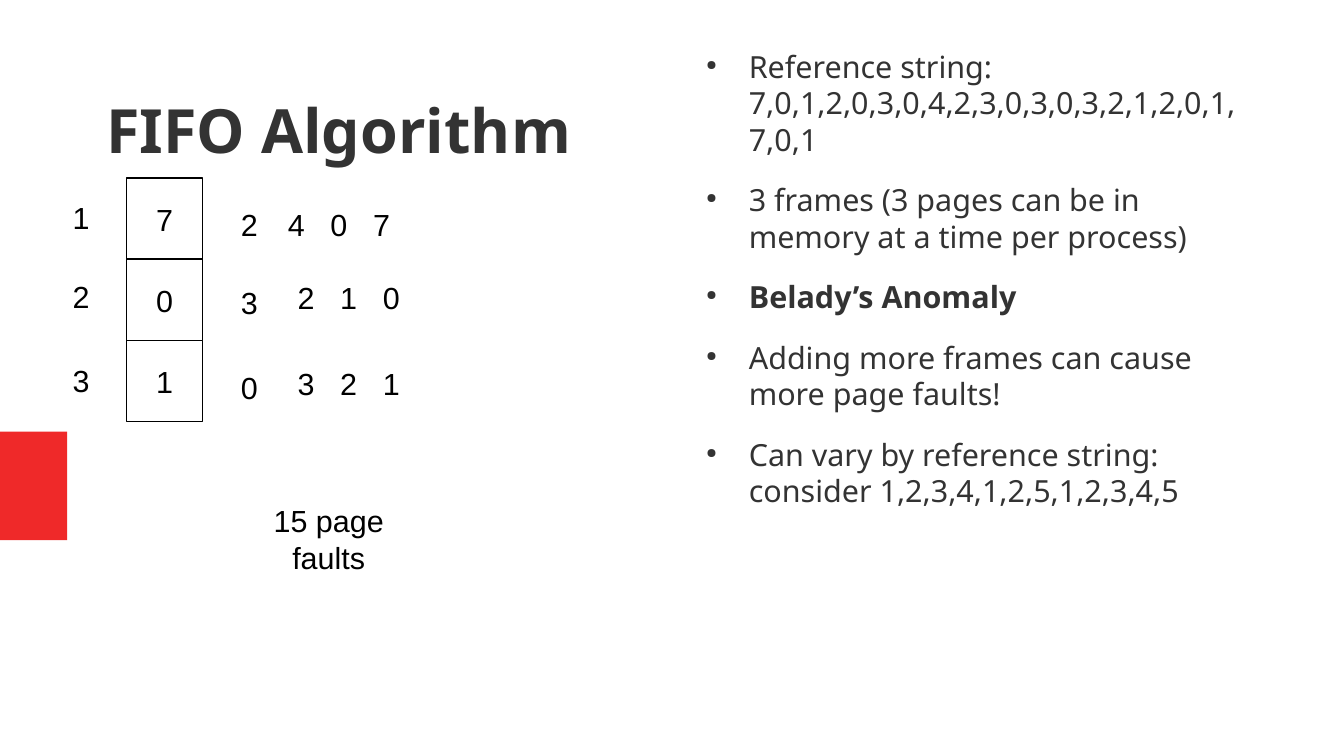
from dataclasses import dataclass

from lxml.etree import SubElement
from pptx import Presentation
from pptx.dml.color import RGBColor
from pptx.enum.shapes import MSO_SHAPE
from pptx.enum.text import MSO_ANCHOR as ANCHOR, MSO_AUTO_SIZE as AUTO_SIZE, PP_ALIGN as ALIGN
from pptx.oxml.ns import qn
from pptx.util import Inches, Pt

COLORS = {"accent": "EF2929", "text": "333333", "ink": "000000", "paper": "FFFFFF"}
CELL_LEFT, CELL_W, CELL_H = 1.04, 0.62, 0.67
FIRST_CELL_TOP, LAST_CELL_TOP = 1.46, 2.79
DIGIT_W, LINE_H = 0.43, 0.44
PAGE_PITCH = 0.35


@dataclass
class Frame:
    """One memory frame: its first page and the pages that replace it."""
    number: str
    first_page: str
    next_page: str
    later_pages: tuple[str, ...]
    label_top: float
    next_top: float
    later_left: float
    later_top: float


@dataclass
class Bullet:
    text: str
    bold: bool = False


FRAMES = [
    Frame("1", "7", "2", ("4", "0", "7"), 1.56, 1.62, 2.22, 1.62),
    Frame("2", "0", "3", ("2", "1", "0"), 2.21, 2.26, 2.30, 2.22),
    Frame("3", "1", "0", ("3", "2", "1"), 2.90, 2.96, 2.30, 2.92),
]
CELL_PITCH = (LAST_CELL_TOP - FIRST_CELL_TOP) / (len(FRAMES) - 1)
BULLETS = [
    Bullet("Reference string: 7,0,1,2,0,3,0,4,2,3,0,3,0,3,2,1,2,0,1,7,0,1"),
    Bullet("3 frames (3 pages can be in memory at a time per process)"),
    Bullet("Belady’s Anomaly", bold=True),
    Bullet("Adding more frames can cause more page faults!"),
    Bullet("Can vary by reference string: consider 1,2,3,4,1,2,5,1,2,3,4,5"),
]


def rgb(name: str) -> RGBColor:
    return RGBColor.from_string(COLORS[name])


def set_frame(tf, *, inset_x: float = 0.14, inset_y: float = 0.07,
              anchor=ANCHOR.MIDDLE, wrap: bool = False) -> None:
    tf.auto_size = AUTO_SIZE.NONE
    tf.word_wrap = wrap
    tf.vertical_anchor = anchor
    tf.margin_left = tf.margin_right = Inches(inset_x)
    tf.margin_top = tf.margin_bottom = Inches(inset_y)


def write(p, text: str, *, size: float = 18, font: str = "Arial", color: str = "ink",
          bold: bool = False, align=ALIGN.CENTER) -> None:
    p.alignment = align
    r = p.add_run()
    r.text = text
    r.font.size = Pt(size)
    r.font.name = font
    r.font.bold = bold
    r.font.color.rgb = rgb(color)


def add_rect(slide, left: float, top: float, width: float, height: float, fill: str):
    sp = slide.shapes.add_shape(MSO_SHAPE.RECTANGLE, Inches(left), Inches(top),
                                Inches(width), Inches(height))
    sp.shadow.inherit = False
    sp.fill.solid()
    sp.fill.fore_color.rgb = rgb(fill)
    sp.line.fill.background()
    return sp


def add_box(slide, left: float, top: float, width: float, height: float = LINE_H, **frame):
    """Add a text box and return its text frame."""
    tf = slide.shapes.add_textbox(Inches(left), Inches(top),
                                  Inches(width), Inches(height)).text_frame
    set_frame(tf, **frame)
    return tf


def add_title(slide, text: str) -> None:
    sp = slide.shapes.title
    sp.left, sp.top, sp.width, sp.height = map(Inches, (0.87, 0.47, 9.37, 1.18))
    set_frame(sp.text_frame, inset_x=0, inset_y=0, wrap=True)
    write(sp.text_frame.paragraphs[0], text, size=36, font="Noto Sans", color="text",
          bold=True, align=ALIGN.LEFT)


def set_bullet(p) -> None:
    pPr = p._p.get_or_add_pPr()
    pPr.set("marL", str(Inches(0.47)))
    pPr.set("indent", str(Inches(-0.35)))
    SubElement(SubElement(pPr, qn("a:buClr")), qn("a:srgbClr"), val=COLORS["text"])
    SubElement(pPr, qn("a:buSzPct"), val="45000")
    SubElement(pPr, qn("a:buFont"), typeface="OpenSymbol")
    SubElement(pPr, qn("a:buChar"), char="●")


def set_tabs(p, count: int) -> None:
    tabs = SubElement(p._p.get_or_add_pPr(), qn("a:tabLst"))
    for i in range(1, count + 1):
        SubElement(tabs, qn("a:tab"), pos=str(Inches(PAGE_PITCH * i)), algn="l")


def add_bullets(slide, bullets: list[Bullet]) -> None:
    tf = add_box(slide, 5.67, 0.39, 4.57, 5.59, inset_x=0, inset_y=0,
                 anchor=ANCHOR.TOP, wrap=True)
    for i, bullet in enumerate(bullets):
        p = tf.add_paragraph() if i else tf.paragraphs[0]
        set_bullet(p)
        p.space_after = Pt(14.1)
        write(p, bullet.text, font="Noto Sans", color="text", bold=bullet.bold,
              align=ALIGN.LEFT)


def add_frame(slide, index: int, frame: Frame) -> None:
    cell = add_rect(slide, CELL_LEFT, FIRST_CELL_TOP + index * CELL_PITCH,
                    CELL_W, CELL_H, "paper")
    cell.line.color.rgb = rgb("ink")
    cell.line.width = Pt(0.75)
    set_frame(cell.text_frame)
    write(cell.text_frame.paragraphs[0], frame.first_page)

    for left, top, text in ((0.45, frame.label_top, frame.number),
                            (1.83, frame.next_top, frame.next_page)):
        write(add_box(slide, left, top, DIGIT_W).paragraphs[0], text)

    p = add_box(slide, frame.later_left, frame.later_top, 1.5, wrap=True).paragraphs[0]
    set_tabs(p, len(frame.later_pages) - 1)
    write(p, "\t".join(frame.later_pages), align=ALIGN.LEFT)


def main() -> None:
    prs = Presentation()
    prs.slide_width, prs.slide_height = Inches(11.02), Inches(6.2)
    slide = prs.slides.add_slide(prs.slide_layouts[5])
    add_rect(slide, 0, 3.54, 0.55, 0.89, "accent")
    add_title(slide, "FIFO Algorithm")
    add_bullets(slide, BULLETS)
    for i, frame in enumerate(FRAMES):
        add_frame(slide, i, frame)
    write(add_box(slide, 1.77, 4.2, 1.85, wrap=True).paragraphs[0], "15 page faults")
    prs.save("out.pptx")


if __name__ == "__main__":
    main()
